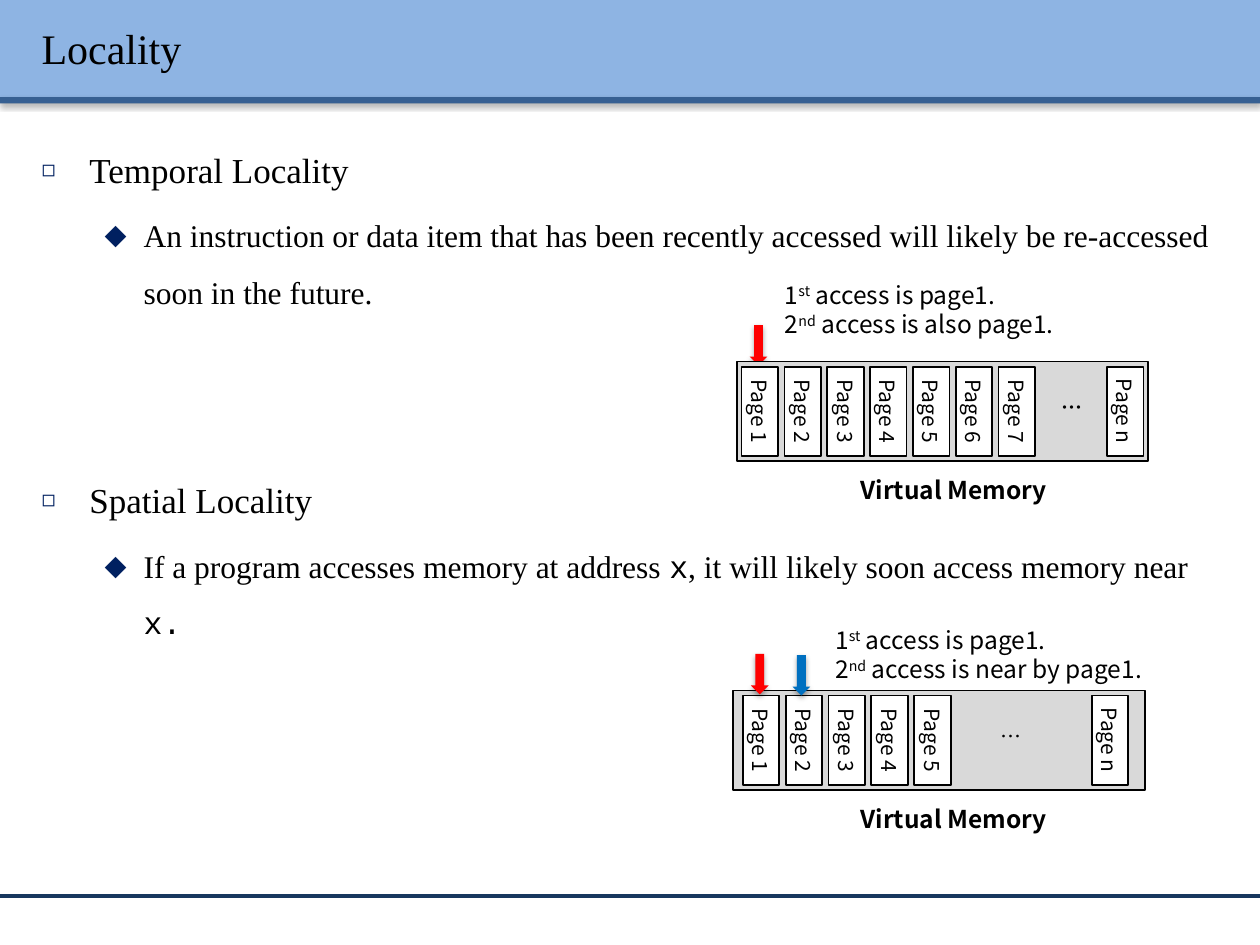
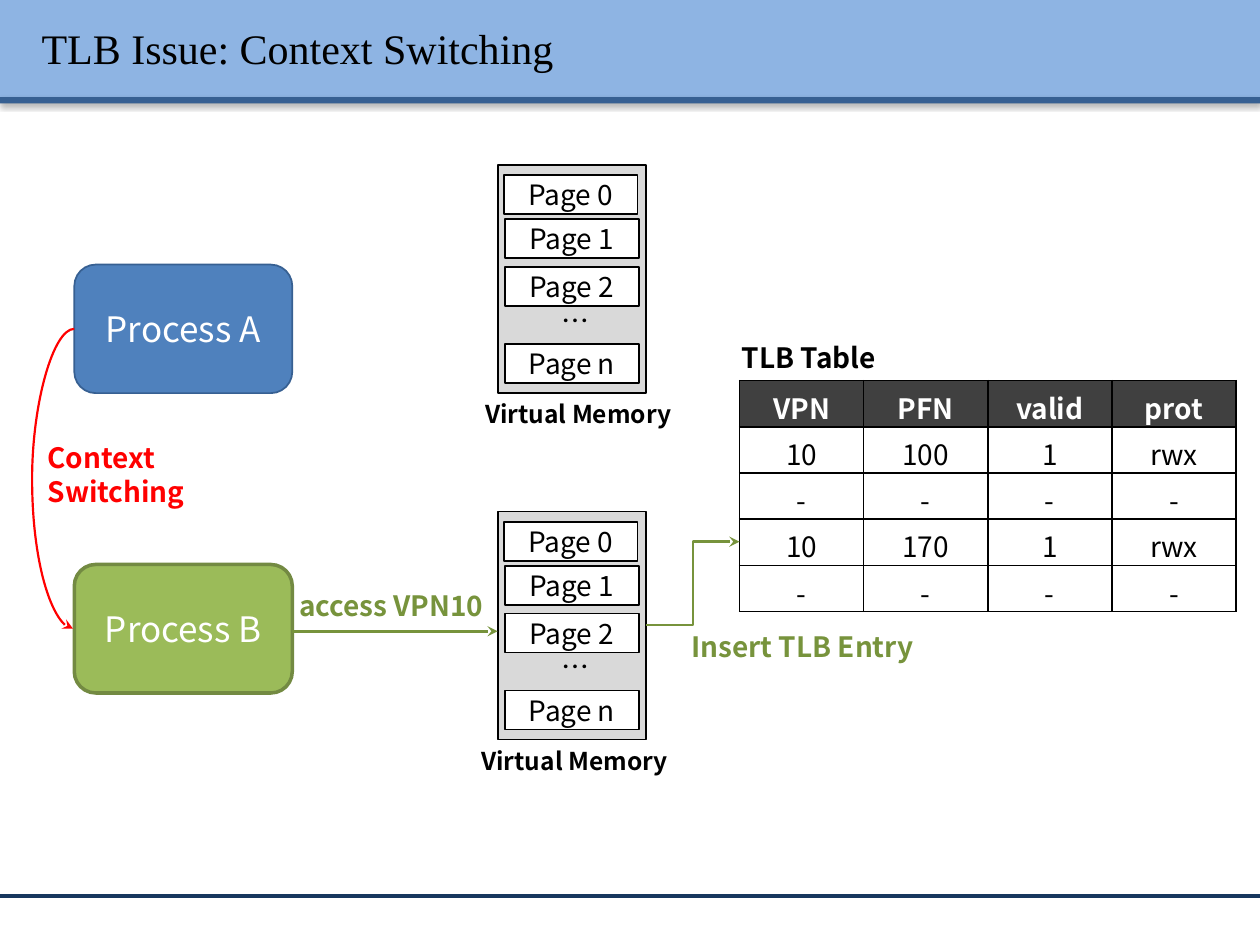
from dataclasses import dataclass

from lxml import etree
from pptx import Presentation
from pptx.dml.color import RGBColor
from pptx.enum.shapes import MSO_CONNECTOR, MSO_SHAPE
from pptx.enum.text import MSO_ANCHOR, MSO_AUTO_SIZE, PP_ALIGN
from pptx.oxml.ns import qn
from pptx.util import Inches, Pt


@dataclass(frozen=True)
class Theme:
    serif: str = "Times New Roman"
    sans: str = "Noto Sans CJK KR"
    code: str = "Courier New"
    black: str = "000000"
    white: str = "FFFFFF"
    band: str = "8EB4E3"
    band_edge: str = "376092"
    footer: str = "17375E"
    bullet: str = "002060"
    memory: str = "D9D9D9"
    red: str = "FF0000"
    blue: str = "0070C0"
    process_a: str = "4F81BD"
    process_b: str = "9BBB59"
    process_b_edge: str = "738A42"
    green: str = "77933C"
    header: str = "404040"
    title_size: int = 24
    topic_size: int = 20
    detail_size: int = 18
    label_size: int = 16
    caption_size: int = 14
    page_size: int = 12


T = Theme()


# ---- XML helpers ----
def rgb(color):
    return RGBColor.from_string(color)


def sub(parent, tag, **attrs):
    return etree.SubElement(parent, qn(tag), {k: str(v) for k, v in attrs.items()})


def add_shadow(parent, blur=3.1, dist=1.6, angle=90, alpha=38):
    effects = sub(parent, "a:effectLst")
    shadow = sub(effects, "a:outerShdw", blurRad=Pt(blur), dist=Pt(dist),
                 dir=angle * 60000, algn="t", rotWithShape=0)
    color = sub(shadow, "a:srgbClr", val=T.black)
    sub(color, "a:alpha", val=alpha * 1000)
    return effects


# ---- Text ----
def add_parts(p, parts):
    """Parts are plain strings or (text, style) with style 'sup' or 'code'."""
    for part in [parts] if isinstance(parts, str) else parts:
        text, style = (part, None) if isinstance(part, str) else part
        r = p.add_run()
        r.text = text
        if style == "sup":
            r.font._element.set("baseline", "30000")
        elif style == "code":
            r.font.name = T.code


def style_paragraph(p, size, color=T.black, bold=False, font=T.sans, align=PP_ALIGN.LEFT):
    p.alignment = align
    p.font.name, p.font.size, p.font.bold = font, Pt(size), bold
    p.font.color.rgb = rgb(color)
    defaults = p.font._element
    sub(defaults, "a:ea", typeface=font)
    return defaults


def add_label(s, x, y, w, h, lines, size, color=T.black, bold=False,
              align=PP_ALIGN.LEFT, wrap=True):
    tf = s.shapes.add_textbox(Inches(x), Inches(y), Inches(w), Inches(h)).text_frame
    tf.word_wrap = wrap
    for i, parts in enumerate(lines):
        p = tf.add_paragraph() if i else tf.paragraphs[0]
        add_parts(p, parts)
        style_paragraph(p, size, color, bold, align=align)


# ---- Shapes ----
def add_box(s, kind, x, y, w, h, fill, line=None, width=1, shadow=False):
    sp = s.shapes.add_shape(kind, Inches(x), Inches(y), Inches(w), Inches(h))
    sp.fill.solid()
    sp.fill.fore_color.rgb = rgb(fill)
    if line:
        sp.line.color.rgb = rgb(line)
        sp.line.width = Pt(width)
    else:
        sp.line.fill.background()
    if shadow:
        add_shadow(sp._element.spPr)
    else:
        sp.shadow.inherit = False
    return sp


def write_centred(sp, text, size, color):
    tf = sp.text_frame
    tf.vertical_anchor = MSO_ANCHOR.MIDDLE
    p = tf.paragraphs[0]
    add_parts(p, text)
    style_paragraph(p, size, color, align=PP_ALIGN.CENTER)


def add_page(s, x, y, w, h, text, size, rotation=0):
    sp = add_box(s, MSO_SHAPE.RECTANGLE, x, y, w, h, T.white, T.black)
    sp.rotation = rotation
    sp.text_frame.margin_left = sp.text_frame.margin_right = 0
    write_centred(sp, text, size, T.black)


def add_access_arrow(s, x, y, color):
    add_box(s, MSO_SHAPE.DOWN_ARROW, x, y, 0.14, 0.32, color, shadow=True)


def add_line(s, kind, x1, y1, x2, y2, color, width, arrow=True):
    cx = s.shapes.add_connector(kind, Inches(x1), Inches(y1), Inches(x2), Inches(y2))
    cx.line.color.rgb = rgb(color)
    cx.line.width = Pt(width)
    if arrow:
        sub(cx.line._get_or_add_ln(), "a:tailEnd", type="stealth")
    sub(cx._element.spPr, "a:effectLst")
    return cx


# ---- Shared slide parts ----
def decorate_master(prs, s):
    """Draw the bands and footer line, then move them behind the master's title."""
    parts = [
        add_box(s, MSO_SHAPE.RECTANGLE, 0, 0, 10, 0.77, T.band, shadow=True),
        add_box(s, MSO_SHAPE.RECTANGLE, 0, 0.77, 10, 0.05, T.band_edge, shadow=True),
        add_line(s, MSO_CONNECTOR.STRAIGHT, 0, 7.11, 10, 7.11, T.footer, 2, arrow=False),
    ]
    first = prs.slide_master.shapes[0]._element
    for part in parts:
        first.addprevious(part._element)


def place(sp, x, y, w, h):
    sp.left, sp.top, sp.width, sp.height = Inches(x), Inches(y), Inches(w), Inches(h)


def add_slide(prs, layout, title):
    s = prs.slides.add_slide(prs.slide_layouts.get_by_name(layout))
    place(s.shapes.title, 0.23, 0.06, 9.61, 0.64)
    tf = s.shapes.title.text_frame
    tf.vertical_anchor = MSO_ANCHOR.MIDDLE
    tf.auto_size = MSO_AUTO_SIZE.NONE
    p = tf.paragraphs[0]
    add_parts(p, title)
    defaults = style_paragraph(p, T.title_size, font=T.serif)
    defaults.find(qn("a:latin")).addprevious(add_shadow(defaults, angle=45))
    return s


def add_bullet(p, parts, level, before):
    char, indent, hang, size, scale = [("◻", 0.38, 0.38, T.topic_size, 65),
                                       ("⬥", 0.81, 0.31, T.detail_size, 100)][level]
    p.level = level
    p.line_spacing = 1.5
    p.space_before = Pt(before)
    pPr = p._p.get_or_add_pPr()
    pPr.set("marL", str(Inches(indent)))
    pPr.set("indent", str(-Inches(hang)))
    sub(sub(pPr, "a:buClr"), "a:srgbClr", val=T.bullet)
    sub(pPr, "a:buSzPct", val=scale * 1000)
    sub(pPr, "a:buChar", char=char)
    add_parts(p, parts)
    style_paragraph(p, size, font=T.serif)


# ---- Locality slide ----
def add_memory_row(s, x, y, w, first_centre, count, last_centre):
    """A memory frame with upright pages, turned so that their text runs down."""
    add_box(s, MSO_SHAPE.RECTANGLE, x, y, w, 0.79, T.memory, T.black)
    pages = [(first_centre + 0.34 * i, f"Page {i + 1}") for i in range(count)]
    for centre, text in pages + [(last_centre, "Page n")]:
        add_page(s, centre - 0.355, y + 0.25, 0.71, 0.29, text, T.page_size, rotation=90)
    add_label(s, 6.73, y + 0.85, 1.69, 0.34, ["Virtual Memory"], T.caption_size,
              bold=True, wrap=False)


def add_access_note(s, x, y, w, second):
    lines = [["1", ("st", "sup"), " access is page1."], ["2", ("nd", "sup"), second]]
    add_label(s, x, y, w, 0.57, lines, T.caption_size, wrap=False)


def fill_locality(s):
    body = s.placeholders[1]
    place(body, 0.23, 0.96, 9.61, 6.02)
    tf = body.text_frame
    tf.auto_size = MSO_AUTO_SIZE.NONE
    bullets = [
        ("Temporal Locality", 0, 0),
        ("An instruction or data item that has been recently accessed will likely "
         "be re-accessed soon in the future.", 1, 4),
        ("Spatial Locality", 0, 84),
        (["If a program accesses memory at address ", ("x", "code"),
          ", it will likely soon access memory near ", ("x.", "code")], 1, 4),
    ]
    for i, (parts, level, before) in enumerate(bullets):
        add_bullet(tf.add_paragraph() if i else tf.paragraphs[0], parts, level, before)

    # Temporal: the same page twice
    add_access_arrow(s, 5.95, 2.58, T.red)
    add_access_note(s, 6.13, 2.17, 2.38, " access is also page1.")
    add_memory_row(s, 5.85, 2.87, 3.26, 6.03, 7, 8.93)
    add_label(s, 8.15, 3.08, 0.71, 0.3, ["…"], T.page_size, bold=True,
              align=PP_ALIGN.CENTER)

    # Spatial: a page and its neighbour
    add_memory_row(s, 5.82, 5.48, 3.27, 6.04, 5, 8.81)
    add_access_arrow(s, 5.96, 5.19, T.red)
    add_access_arrow(s, 6.29, 5.2, T.blue)
    add_access_note(s, 6.53, 4.91, 2.7, " access is near by page1.")
    add_label(s, 7.84, 5.69, 0.71, 0.3, ["…"], T.page_size)


# ---- Context switching slide ----
def add_process(s, y, text, fill, line, width):
    sp = add_box(s, MSO_SHAPE.ROUNDED_RECTANGLE, 0.59, y, 1.73, 1.02, fill, line, width)
    write_centred(sp, text, T.topic_size, T.white)


def add_memory_column(s, y, caption_x):
    add_box(s, MSO_SHAPE.RECTANGLE, 3.95, y, 1.18, 1.81, T.memory, T.black)
    for name, dx, dy in [("0", 0.05, 0.08), ("1", 0.06, 0.43),
                         ("2", 0.06, 0.81), ("n", 0.06, 1.42)]:
        add_page(s, 3.95 + dx, y + dy, 1.06, 0.31, f"Page {name}", T.label_size)
    add_label(s, 4.36, y + 1.05, 1.16, 0.37, ["…"], T.label_size)
    add_label(s, caption_x, y + 1.81, 1.92, 0.34, ["Virtual Memory"], T.caption_size,
              bold=True, align=PP_ALIGN.CENTER)


def add_border(cell):
    tcPr = cell._tc.get_or_add_tcPr()
    for i, side in enumerate(("a:lnL", "a:lnR", "a:lnT", "a:lnB")):
        ln = etree.Element(qn(side), w=str(Pt(1)))
        sub(sub(ln, "a:solidFill"), "a:srgbClr", val=T.black)
        tcPr.insert(i, ln)


def add_tlb_table(s, x, y, w, h, rows):
    table = s.shapes.add_table(len(rows), len(rows[0]), Inches(x), Inches(y),
                               Inches(w), Inches(h)).table
    table.first_row = table.horz_banding = False
    for i, row in enumerate(rows):
        for j, text in enumerate(row):
            cell = table.cell(i, j)
            if i == 0:
                cell.fill.solid()
                cell.fill.fore_color.rgb = rgb(T.header)
            else:
                cell.fill.background()
            add_border(cell)
            p = cell.text_frame.paragraphs[0]
            add_parts(p, text)
            style_paragraph(p, T.label_size, T.black if i else T.white, bold=i == 0,
                            align=PP_ALIGN.CENTER)


def fill_context_switching(s):
    # Processes and their memories
    add_process(s, 2.1, "Process A", T.process_a, T.band_edge, 1)
    add_process(s, 4.48, "Process B", T.process_b, T.process_b_edge, 2)
    add_memory_column(s, 1.31, 3.63)
    add_memory_column(s, 4.06, 3.6)

    # TLB table
    add_label(s, 5.79, 2.65, 1.54, 0.37, ["TLB Table"], T.label_size, bold=True)
    empty = ["-"] * 4
    add_tlb_table(s, 5.87, 3.02, 3.94, 1.83, [
        ["VPN", "PFN", "valid", "prot"],
        ["10", "100", "1", "rwx"], empty,
        ["10", "170", "1", "rwx"], empty])

    # Arrows and their labels
    add_line(s, MSO_CONNECTOR.STRAIGHT, 2.32, 5.01, 3.95, 5.01, T.green, 1.5)
    add_line(s, MSO_CONNECTOR.ELBOW, 5.13, 4.96, 5.87, 4.3, T.green, 1.5)
    switch = add_line(s, MSO_CONNECTOR.CURVE, 0.59, 2.61, 0.58, 4.99, T.red, 1.25)
    bulge = switch._element.spPr.find(qn("a:prstGeom")).find(qn("a:avLst"))
    sub(bulge, "a:gd", name="adj1", fmla="val 3400000")
    add_label(s, 0.28, 3.45, 1.48, 0.64, ["Context", "Switching"], T.label_size, T.red, True)
    add_label(s, 2.01, 4.62, 2.19, 0.37, ["access VPN10"], T.label_size, T.green, True,
              PP_ALIGN.CENTER)
    add_label(s, 5.39, 4.95, 2.19, 0.37, ["Insert TLB Entry"], T.label_size, T.green, True)


def main():
    prs = Presentation()
    prs.slide_width, prs.slide_height = Inches(10), Inches(7.5)
    locality = add_slide(prs, "Title and Content", "Locality")
    decorate_master(prs, locality)
    fill_locality(locality)
    fill_context_switching(add_slide(prs, "Title Only", "TLB Issue: Context Switching"))
    prs.save("out.pptx")


if __name__ == "__main__":
    main()
